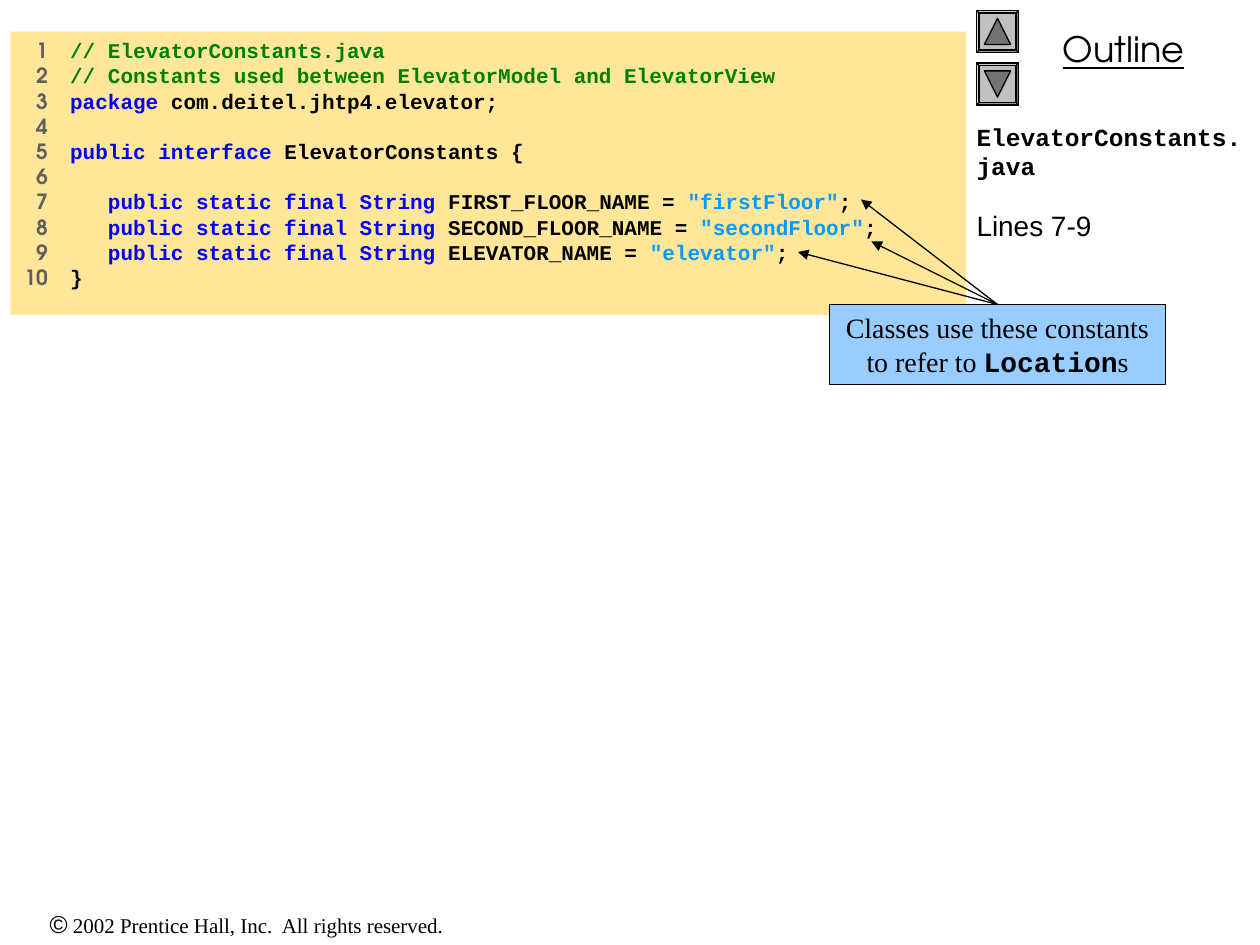
import pptx
import pptx.util
import pptx.dml.color
import pptx.enum.shapes
import pptx.enum.text
import pptx.oxml
import pptx.oxml.ns

PX = pptx.util.Inches(1) // 96
SHAPES = pptx.enum.shapes.MSO_SHAPE
CENTER = pptx.enum.text.PP_ALIGN.CENTER
MONO, SANS, SERIF, DISPLAY = "Courier New", "Arial", "Times New Roman", "TeX Gyre Adventor"

THEME = {
    "black": "000000", "number": "5F5F5F", "comment": "008000",
    "keyword": "0000FF", "string": "0099FF",
    "panel": "FFE699", "callout": "99CCFF", "button": "C0C0C0", "arrow": "737373",
    "code_size": 12, "file_size": 14, "body_size": 16, "outline_size": 20,
}


def add_box(kind, left, top, width, height, fill=None, line=None):
    """Add a preset shape, or a text box when kind is None, with top-anchored text."""
    area = [value * PX for value in (left, top, width, height)]
    if kind is None:
        shape = slide.shapes.add_textbox(*area)
    else:
        shape = slide.shapes.add_shape(kind, *area)
        shape.shadow.inherit = False
        shape.fill.solid()
        shape.fill.fore_color.rgb = pptx.dml.color.RGBColor.from_string(THEME[fill])
        if line:
            shape.line.color.rgb = pptx.dml.color.RGBColor.from_string(THEME[line])
            shape.line.width = pptx.util.Pt(0.75)
        else:
            shape.line.fill.background()
    shape.text_frame.word_wrap = True
    shape.text_frame.vertical_anchor = pptx.enum.text.MSO_ANCHOR.TOP
    return shape


def add_run(paragraph, text, font, size, color="black", bold=False):
    run = paragraph.add_run()
    run.text = text
    run.font.name = font
    run.font.size = pptx.util.Pt(THEME[size])
    run.font.bold = bold
    run.font.color.rgb = pptx.dml.color.RGBColor.from_string(THEME[color])
    return run


presentation = pptx.Presentation()
presentation.slide_width, presentation.slide_height = 960 * PX, 720 * PX
slide = presentation.slides.add_slide(presentation.slide_layouts[6])

# Copyright line
paragraph = add_box(None, 0, 688, 376, 33).text_frame.paragraphs[0]
paragraph.alignment = CENTER
add_run(paragraph, "©", SANS, "file_size")
add_run(paragraph, " 2002 Prentice Hall, Inc.  All rights reserved.", SERIF, "code_size")

# Outline heading
paragraph = add_box(None, 752, 16, 208, 42).text_frame.paragraphs[0]
paragraph.alignment = CENTER
add_run(paragraph, "Outline", DISPLAY, "outline_size").font.underline = True

# Up and down buttons
for top, rotation in ((8, 0), (48, 180)):
    button = add_box(SHAPES.BEVEL, 744, top, 32, 32, "button", "black")
    button.adjustments[0] = 0.06
    arrow = add_box(SHAPES.ISOSCELES_TRIANGLE, 750, top + 6, 20, 20, "arrow", "black")
    arrow.rotation = rotation

# Code listing: right-aligned line numbers, then the code at a left tab
CONSTANT = ("   public static final String", "keyword")
CODE = [
    [("// ElevatorConstants.java", "comment")],
    [("// Constants used between ElevatorModel and ElevatorView", "comment")],
    [("package", "keyword"), (" com.deitel.jhtp4.elevator;", "black")],
    [],
    [("public interface", "keyword"), (" ElevatorConstants {", "black")],
    [],
    [CONSTANT, (" FIRST_FLOOR_NAME = ", "black"), ('"firstFloor"', "string"), (";", "black")],
    [CONSTANT, (" SECOND_FLOOR_NAME = ", "black"), ('"secondFloor"', "string"), (";", "black")],
    [CONSTANT, (" ELEVATOR_NAME = ", "black"), ('"elevator"', "string"), (";", "black")],
    [("}", "black")],
]
frame = add_box(SHAPES.RECTANGLE, 8, 24, 728, 216, "panel").text_frame
for number, pieces in enumerate(CODE, 1):
    paragraph = frame.paragraphs[0] if number == 1 else frame.add_paragraph()
    paragraph.alignment = pptx.enum.text.PP_ALIGN.LEFT
    properties = paragraph._p.get_or_add_pPr()
    tabs = pptx.oxml.parse_xml(
        f'<a:tabLst {pptx.oxml.ns.nsdecls("a")}>'
        f'<a:tab pos="{19 * PX}" algn="r"/><a:tab pos="{36 * PX}" algn="l"/></a:tabLst>')
    properties.append(tabs)
    add_run(paragraph, f"\t{number}\t" if pieces else f"\t{number}",
            DISPLAY, "code_size", "number", bold=True)
    for text, color in pieces:
        add_run(paragraph, text, MONO, "code_size", color, bold=True)

# File name and line range
frame = add_box(None, 744, 88, 216, 632).text_frame
frame.margin_left = 0
add_run(frame.paragraphs[0], "ElevatorConstants.java", MONO, "file_size", bold=True)
paragraph = frame.add_paragraph()
paragraph.space_before = pptx.util.Pt(16)
add_run(paragraph, "Lines 7-9", SANS, "body_size")

# Callout
callout = add_box(SHAPES.RECTANGLE, 632, 232, 256, 61, "callout", "black")
paragraph = callout.text_frame.paragraphs[0]
paragraph.alignment = CENTER
add_run(paragraph, "Classes use these constants to refer to ", SERIF, "body_size")
add_run(paragraph, "Location", MONO, "body_size", bold=True)
add_run(paragraph, "s", SERIF, "body_size")

# Arrows from the callout to the three constants
for x, y in ((608, 192), (664, 184), (656, 152)):
    connector = slide.shapes.add_connector(
        pptx.enum.shapes.MSO_CONNECTOR.STRAIGHT, 760 * PX, 232 * PX, x * PX, y * PX)
    connector.line.color.rgb = pptx.dml.color.RGBColor.from_string(THEME["black"])
    connector.line.width = pptx.util.Pt(0.75)
    namespace = pptx.oxml.ns.nsdecls("a")
    connector.line._get_or_add_ln().append(
        pptx.oxml.parse_xml(f'<a:tailEnd {namespace} type="triangle"/>'))
    connector._element.spPr.append(pptx.oxml.parse_xml(f"<a:effectLst {namespace}/>"))

presentation.save("out.pptx")
